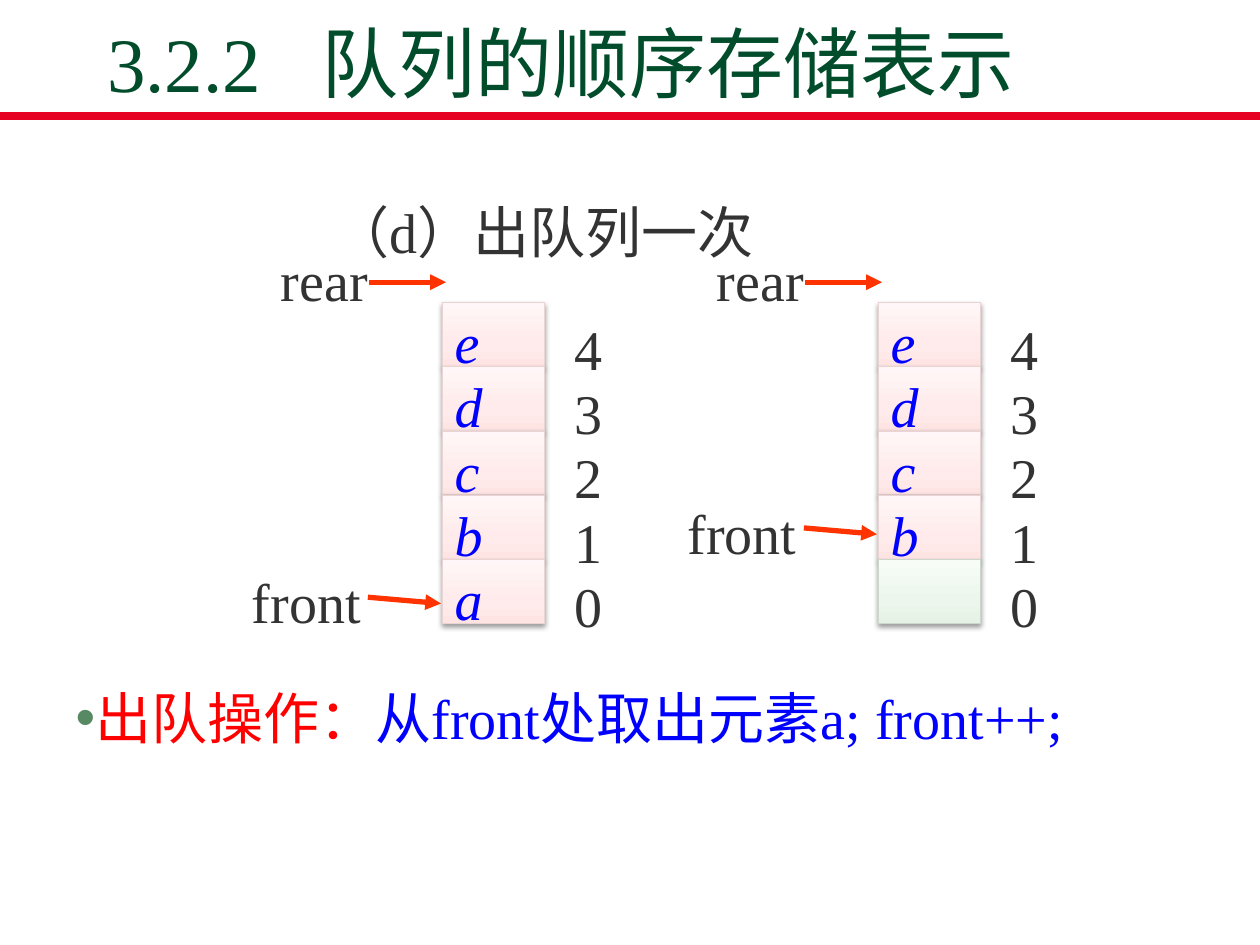
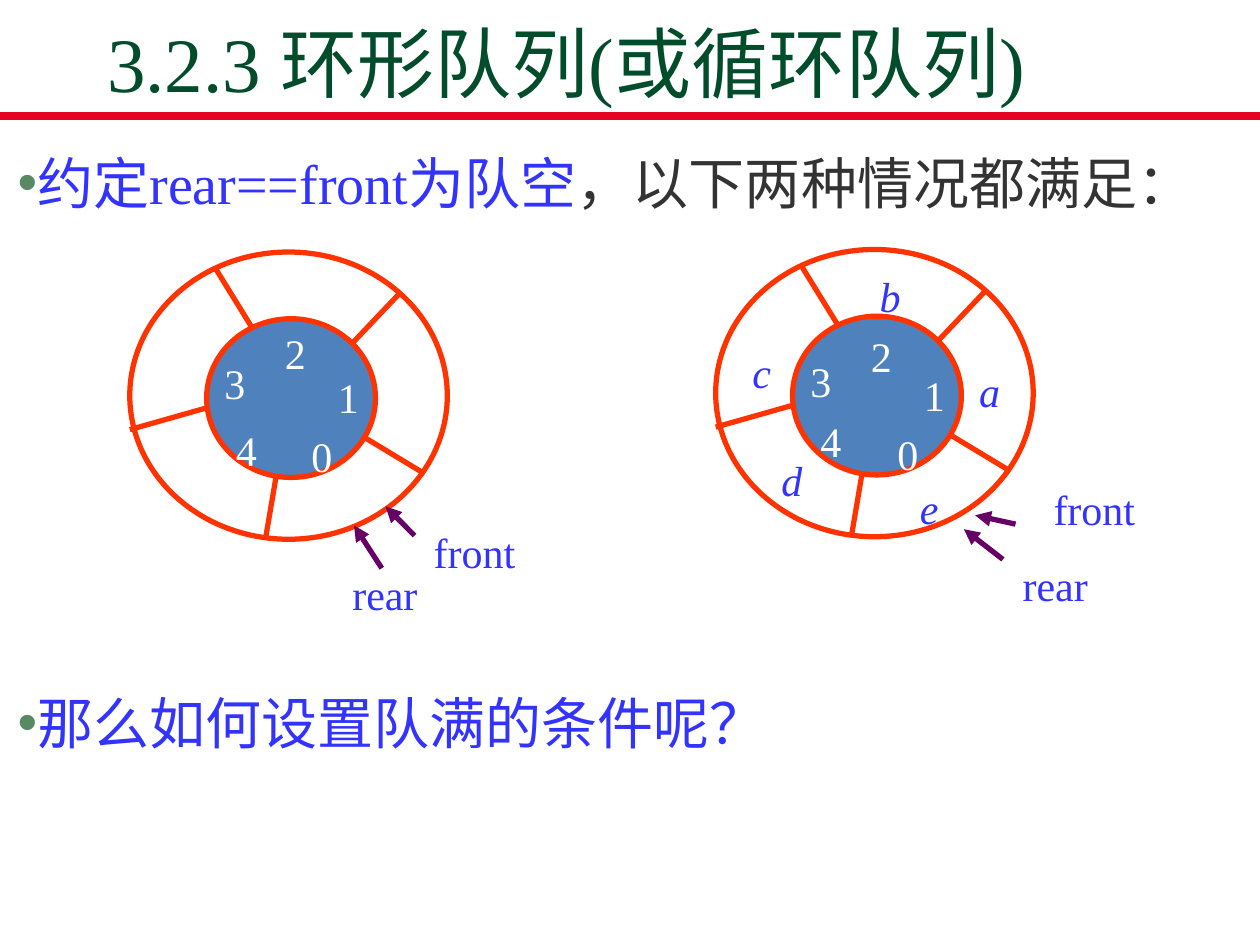
from lxml.etree import SubElement
from copy import deepcopy
from pptx import Presentation
from pptx.dml.color import RGBColor
from pptx.enum.shapes import MSO_CONNECTOR, MSO_SHAPE
from pptx.enum.text import MSO_ANCHOR, MSO_AUTO_SIZE, PP_ALIGN
from pptx.oxml.ns import qn
from pptx.util import Inches, Pt

FONT = "Times New Roman"
COLORS = {
    "title": "004C2B", "band": "E60223", "text": "333333", "bullet": "578963",
    "blue": "0000FF", "red": "FF0000", "violet": "3333FF", "white": "FFFFFF",
    "orange": "FF3300", "purple": "660066", "disc": "4F81BD", "shadow": "000000",
    "full_line": "E9D3D3", "free_line": "CCD6CC",
}
GRADIENTS = {
    "full": [(0, "FFE4E4"), (0.35, "FFEBEB"), (1, "FFF7F7")],
    "free": [(0, "E5F2E5"), (0.35, "ECF6EC"), (1, "F7FCF7")],
}

# Titles, bullets as (left, top, width, runs)
ARRAY_TITLE = "3.2.2\t队列的顺序存储表示"
ARRAY_CAPTION = "（d）出队列一次"
ARRAY_BULLETS = [
    (0.5, 5.27, 9, [("出队操作：", "red"), ("从front处取出元素a; front++;", "blue")]),
]
RING_TITLE = "3.2.3 环形队列(或循环队列)"
RING_BULLETS = [
    (0.04, 1.02, 9.85, [("约定rear==front为队空", "violet"), ("，以下两种情况都满足：", "text")]),
    (0.04, 5.31, 9.85, [("那么如何设置队满的条件呢？", "violet")]),
]

# Array queues: cells from index 4 down to 0, None for a cell taken out
QUEUES = [
    {"left": 3.51, "cells": ["e", "d", "c", "b", "a"], "front_top": 4.35},
    {"left": 6.97, "cells": ["e", "d", "c", "b", None], "front_top": 3.8},
]
CELL_TOP, CELL_W, CELL_H = 2.4, 0.81, 0.51

# Ring queues: places are relative to the corner of the outer ellipse
SPOKES = [(1.86, 1.47, 2.34, 1.76), (1.77, 0.72, 2.14, 0.33), (0.68, 0.13, 0.97, 0.6),
          (1.16, 1.79, 1.08, 2.26), (0, 1.41, 0.6, 1.24)]
SLOTS = {"0": (1.37, 1.34), "1": (1.58, 0.87), "3": (0.68, 0.76)}
RINGS = [
    {"at": (1.03, 2), "slots": {"2": (1.16, 0.52), "4": (0.77, 1.29)}, "items": {},
     "pointers": [("front", (2.34, 2.1), (2.26, 2.25, 2.03, 2.02)),
                  ("rear", (1.63, 2.43), (2, 2.51, 1.78, 2.17))]},
    {"at": (5.68, 1.98), "slots": {"2": (1.16, 0.56), "4": (0.76, 1.24)},
     "items": {"a": (2.02, 0.84), "b": (1.23, 0.09), "c": (0.21, 0.69),
               "d": (0.45, 1.55), "e": (1.54, 1.77)},
     "pointers": [("front", (2.61, 1.78), (2.38, 2.18, 2.06, 2.11)),
                  ("rear", (2.3, 2.38), (2.28, 2.46, 1.97, 2.22))]},
]


def rgb(name):
    return RGBColor.from_string(COLORS[name])


def write(frame, runs, size=32, color="text", italic=False, align=PP_ALIGN.LEFT,
          anchor=MSO_ANCHOR.TOP, spacing=1.2, inset=None, wrap=True):
    """Fill a text frame with one paragraph; runs is a text or (text, color) pairs."""
    frame.auto_size = MSO_AUTO_SIZE.NONE
    frame.word_wrap = wrap
    frame.vertical_anchor = anchor
    if inset is not None:
        frame.margin_left = frame.margin_right = Inches(inset)
        frame.margin_top = frame.margin_bottom = Inches(inset)
    paragraph = frame.paragraphs[0]
    paragraph.alignment = align
    paragraph.line_spacing = spacing
    paragraph.space_before = Pt(0)
    for text, run_color in [(runs, color)] if isinstance(runs, str) else runs:
        run = paragraph.add_run()
        run.text = text
        run.font.name, run.font.size = FONT, Pt(size)
        run.font.italic = italic
        run.font.color.rgb = rgb(run_color)
    return paragraph


def add_label(slide, text, left, top, width, height=0.75, **style):
    box = slide.shapes.add_textbox(*map(Inches, (left, top, width, height)))
    write(box.text_frame, text, **style)


def add_line(slide, x1, y1, x2, y2, color="orange", width=3, arrow=False):
    line = slide.shapes.add_connector(MSO_CONNECTOR.STRAIGHT, *map(Inches, (x1, y1, x2, y2)))
    line.line.color.rgb = rgb(color)
    line.line.width = Pt(width)
    if arrow:
        SubElement(line.line._get_or_add_ln(), qn("a:tailEnd"), type="triangle")
    SubElement(line._element.spPr, qn("a:effectLst"))


def place(shape, left, top, width, height):
    shape.left, shape.top = Inches(left), Inches(top)
    shape.width, shape.height = Inches(width), Inches(height)


def add_slide(prs, layout, title, bullets):
    slide = prs.slides.add_slide(prs.slide_layouts[layout])
    add_line(slide, 0, 0.92, 10, 0.92, color="band", width=4.5)
    heading, *bodies = slide.placeholders
    place(heading, 0.75, 0.26, 8.5, 0.65)
    paragraph = write(heading.text_frame, title, size=44, color="title",
                      anchor=MSO_ANCHOR.BOTTOM, spacing=1.0)
    if "\t" in title:
        tabs = SubElement(paragraph._p.get_or_add_pPr(), qn("a:tabLst"))
        SubElement(tabs, qn("a:tab"), pos=str(Inches(1.7)), algn="l")
    for body, (left, top, width, runs) in zip(bodies, bullets):
        place(body, left, top, width, 0.75)
        properties = write(body.text_frame, runs)._p.get_or_add_pPr()
        properties.set("marL", "0")
        properties.set("indent", "0")
        bullet_color = SubElement(properties, qn("a:buClr"))
        SubElement(bullet_color, qn("a:srgbClr"), val=COLORS["bullet"])
        SubElement(properties, qn("a:buChar"), char="•")
    return slide


def add_cell(slide, item, left, top):
    kind = "full" if item else "free"
    cell = slide.shapes.add_shape(MSO_SHAPE.RECTANGLE,
                                  *map(Inches, (left, top, CELL_W, CELL_H)))
    cell.fill.gradient()
    cell.fill.gradient_angle = 90
    stop_list = cell._element.spPr.find(qn("a:gradFill")).find(qn("a:gsLst"))
    stop_list.append(deepcopy(stop_list[-1]))
    for stop, (position, color) in zip(cell.fill.gradient_stops, GRADIENTS[kind]):
        stop.position = position
        stop.color.rgb = RGBColor.from_string(color)
    cell.line.color.rgb = rgb(kind + "_line")
    cell.line.width = Pt(0.75)
    cell.shadow.inherit = False
    shadow = SubElement(cell._element.spPr.find(qn("a:effectLst")), qn("a:outerShdw"),
                        blurRad=str(Pt(3.1)), dist=str(Pt(1.6)), dir="5400000", rotWithShape="0")
    shade = SubElement(shadow, qn("a:srgbClr"), val=COLORS["shadow"])
    SubElement(shade, qn("a:alpha"), val="38000")
    if item:
        write(cell.text_frame, item, color="blue", italic=True,
              anchor=MSO_ANCHOR.MIDDLE, wrap=False)


def add_queue(slide, left, cells, front_top):
    for row, item in enumerate(cells):
        top = CELL_TOP + row * (CELL_H)
        add_cell(slide, item, left, top)
        add_label(slide, str(len(cells) - 1 - row), left + 0.95, top - 0.06, 0.61)
    add_label(slide, "rear", left - 1.38, 1.79, 1.02)
    add_line(slide, left - 0.58, 2.24, left + 0.03, 2.24, arrow=True)
    add_label(slide, "front", left - 1.61, front_top, 1.17)
    add_line(slide, left - 0.59, front_top + 0.39, left - 0.01, front_top + 0.44, arrow=True)


def add_ellipse(slide, left, top, width, height, fill=None):
    ellipse = slide.shapes.add_shape(MSO_SHAPE.OVAL, *map(Inches, (left, top, width, height)))
    if fill:
        ellipse.fill.solid()
        ellipse.fill.fore_color.rgb = rgb(fill)
    else:
        ellipse.fill.background()
    ellipse.line.color.rgb = rgb("orange")
    ellipse.line.width = Pt(3)
    ellipse.shadow.inherit = False


def add_ring(slide, at, slots, items, pointers):
    x, y = at

    def ring_label(text, place_in_ring, width=0.31, **style):
        dx, dy = place_in_ring
        add_label(slide, text, x + dx, y + dy, width, 0.48, size=24,
                  align=PP_ALIGN.CENTER, inset=0, **style)

    def ring_line(x1, y1, x2, y2, **style):
        add_line(slide, x + x1, y + y1, x + x2, y + y2, **style)

    add_ellipse(slide, x + 0.61, y + 0.53, 1.34, 1.26, fill="disc")
    add_ellipse(slide, x, y, 2.52, 2.28)
    for spoke in SPOKES:
        ring_line(*spoke)
    for number, spot in (SLOTS | slots).items():
        ring_label(number, spot, color="white")
    for item, spot in items.items():
        ring_label(item, spot, color="violet", italic=True)
    for name, spot, arrow in pointers:
        ring_label(name, spot, width=0.79, color="violet")
        ring_line(*arrow, color="purple", arrow=True)


def main():
    prs = Presentation()
    prs.slide_width, prs.slide_height = Inches(10), Inches(7.5)

    array_slide = add_slide(prs, 1, ARRAY_TITLE, ARRAY_BULLETS)
    add_label(array_slide, ARRAY_CAPTION, 2.55, 1.41, 3.87)
    for queue in QUEUES:
        add_queue(array_slide, **queue)

    ring_slide = add_slide(prs, 3, RING_TITLE, RING_BULLETS)
    for ring in RINGS:
        add_ring(ring_slide, **ring)

    prs.save("out.pptx")


if __name__ == "__main__":
    main()
